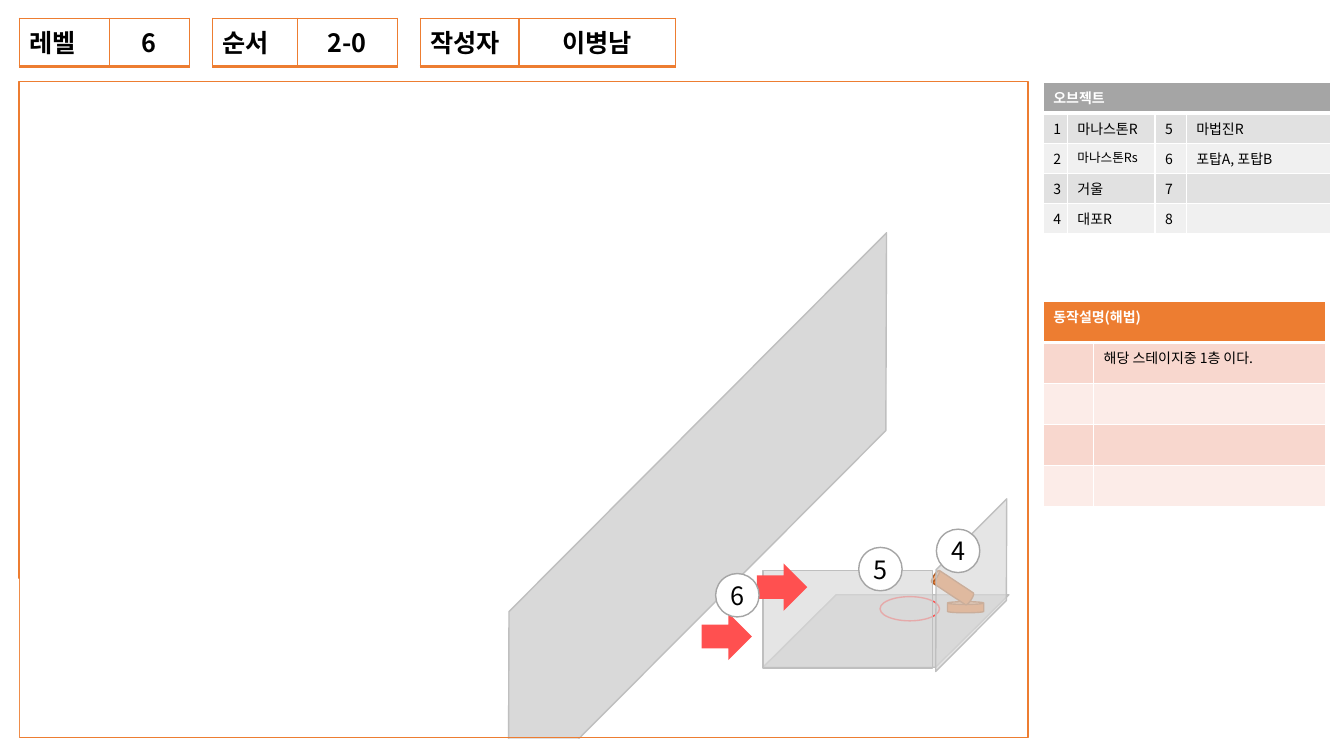
from dataclasses import dataclass
from typing import Optional

from lxml.etree import SubElement
from pptx import Presentation
from pptx.dml.color import RGBColor
from pptx.enum.shapes import MSO_SHAPE as SHAPE
from pptx.enum.text import MSO_ANCHOR as ANCHOR, PP_ALIGN as ALIGN
from pptx.oxml import parse_xml
from pptx.oxml.ns import nsdecls, qn
from pptx.util import Pt


@dataclass(frozen=True)
class Theme:
    font: str = "Noto Sans CJK KR"
    black: str = "000000"
    white: str = "FFFFFF"
    orange: str = "ED7D31"
    brown: str = "AF5C24"
    red: str = "FF5050"
    gray: str = "A5A5A5"
    edge: str = "BFBFBF"
    wall: str = "D9D9D9"
    gray_bands: tuple = ("E1E1E1", "F0F0F0")
    orange_bands: tuple = ("F8D7CE", "FCECE8")
    large: float = 18
    body: float = 10
    small: float = 9


T = Theme()


@dataclass(frozen=True)
class Item:
    kind: SHAPE
    box: tuple
    fill: Optional[str] = None
    line: Optional[str] = None
    rot: float = 0
    adj: Optional[float] = None
    alpha: Optional[int] = None


@dataclass(frozen=True)
class Label:
    left: float
    widths: tuple
    texts: tuple


@dataclass(frozen=True)
class Panel:
    top: float
    widths: tuple
    row_height: float
    title: str
    color: str
    bands: tuple
    rows: tuple


def rgb(value: str) -> RGBColor:
    return RGBColor.from_string(value)


def style_text(p, size: float, color: str, bold: bool = False) -> None:
    for r in p.runs:
        r.font.name, r.font.size, r.font.bold = T.font, Pt(size), bold
        r.font.color.rgb = rgb(color)
        SubElement(r.font._element, qn("a:ea"), typeface=T.font)
    if not p.runs:
        SubElement(p._p, qn("a:endParaRPr"), sz=str(int(size * 100)))


def draw(shapes, item: Item):
    sp = shapes.add_shape(item.kind, *map(Pt, item.box))
    sp.shadow.inherit = False
    sp.rotation = item.rot
    if item.adj is not None:
        sp.adjustments[0] = item.adj
    if item.fill:
        sp.fill.solid()
        sp.fill.fore_color.rgb = rgb(item.fill)
    else:
        sp.fill.background()
    if item.alpha:
        color = sp._element.spPr.find(qn("a:solidFill"))[0]
        SubElement(color, qn("a:alpha"), val=str(item.alpha * 1000))
    if item.line:
        sp.line.color.rgb = rgb(item.line)
        sp.line.width = Pt(1)
    else:
        sp.line.fill.background()
    return sp


def draw_badge(shapes, text: str, left: float, top: float) -> None:
    sp = draw(shapes, Item(SHAPE.OVAL, (left, top, 31, 31), T.white, T.gray))
    tf = sp.text_frame
    tf.margin_left = tf.margin_right = tf.margin_top = tf.margin_bottom = 0
    tf.vertical_anchor = ANCHOR.MIDDLE
    tf.text = text
    p = tf.paragraphs[0]
    p.alignment = ALIGN.CENTER
    style_text(p, T.large, T.black)


def set_borders(cell, color: str, bottom: float = 1) -> None:
    tc_pr = cell._tc.get_or_add_tcPr()
    for i, side in enumerate("LRTB"):
        width = Pt(bottom if side == "B" else 1)
        tc_pr.insert(i, parse_xml(
            f'<a:ln{side} {nsdecls("a")} w="{width}"><a:solidFill>'
            f'<a:srgbClr val="{color}"/></a:solidFill></a:ln{side}>'))


def new_table(shapes, left: float, top: float, widths: tuple, rows: int, row_height: float):
    frame = shapes.add_table(rows, len(widths), Pt(left), Pt(top),
                             Pt(sum(widths)), Pt(rows * row_height))
    table = frame.table
    table.first_row = table.horz_banding = False
    for column, width in zip(table.columns, widths):
        column.width = Pt(width)
    return table


def draw_label(shapes, label: Label) -> None:
    table = new_table(shapes, label.left, 13, label.widths, 1, 34.6)
    for i, text in enumerate(label.texts):
        cell = table.cell(0, i)
        cell.fill.background()
        set_borders(cell, T.orange, 2)
        cell.text_frame.text = text
        p = cell.text_frame.paragraphs[0]
        if i:
            p.alignment = ALIGN.CENTER
        style_text(p, T.large, T.black, True)


def draw_panel(shapes, panel: Panel) -> None:
    count = len(panel.widths)
    grid = [(panel.title,) + ("",) * (count - 1), *panel.rows]
    table = new_table(shapes, 745.2, panel.top, panel.widths, len(grid), panel.row_height)
    table.cell(0, 0).merge(table.cell(0, count - 1))
    for y, row in enumerate(grid):
        for x, text in enumerate(row):
            cell = table.cell(y, x)
            cell.fill.solid()
            cell.fill.fore_color.rgb = rgb(panel.bands[(y - 1) % 2] if y else panel.color)
            set_borders(cell, T.white, 1 if y else 3)
            cell.text_frame.text = text
            size = T.small if text == "마나스톤Rs" else T.body
            style_text(cell.text_frame.paragraphs[0], size, T.black if y else T.white, not y)


prs = Presentation()
prs.slide_width, prs.slide_height = Pt(960), Pt(540)
shapes = prs.slides.add_slide(prs.slide_layouts[6]).shapes

# Large wall and stage frame, with margins that trim them
for item in (
    Item(SHAPE.PARALLELOGRAM, (257, 322.5, 482.4, 99.4), T.wall, T.edge, 314.9, 1.01),
    Item(SHAPE.RECTANGLE, (13.7, 58.3, 720.7, 468.7), None, T.orange),
    Item(SHAPE.RECTANGLE, (0, 413.3, 13.7, 122.4), T.white),
    Item(SHAPE.RECTANGLE, (329.8, 527.8, 102.2, 12.2), T.white),
):
    draw(shapes, item)

# Header labels
for label in (
    Label(13.7, (64.4, 57.2), ("레벨", "6")),
    Label(151.9, (60.5, 71.3), ("순서", "2-0")),
    Label(300.2, (70.6, 111.6), ("작성자", "이병남")),
):
    draw_label(shapes, label)

# Room: floor, cannon, magic circle and translucent walls
room = shapes.add_group_shape().shapes
for item in (
    Item(SHAPE.PARALLELOGRAM, (545, 424.8, 175.7, 51.8), T.wall, T.edge, adj=1.01),
    Item(SHAPE.CAN, (676.8, 429.8, 25.9, 7.9), T.orange, T.brown),
    Item(SHAPE.CAN, (675.4, 403.9, 10.1, 31.7), T.orange, T.brown, 303.5),
    Item(SHAPE.OVAL, (628.6, 426.2, 42.5, 17.3), None, T.red),
    Item(SHAPE.RECTANGLE, (545, 407.5, 121, 69.8), T.wall, T.edge, alpha=66),
    Item(SHAPE.PARALLELOGRAM, (632.2, 392.4, 123.1, 51.1), T.wall, T.edge, 314.9, 1.01, 66),
):
    draw(room, item)

# Turret arrows and object numbers
for left, top in ((540.7, 402.5), (501.1, 437.8)):
    draw(shapes, Item(SHAPE.RIGHT_ARROW, (left, top, 36, 33.8), T.red))
for text, left, top in (("4", 668.9, 378), ("5", 613.4, 391), ("6", 511.2, 409.7)):
    draw_badge(shapes, text, left, top)

# Side panels
draw_panel(shapes, Panel(59, (16.6, 62.6, 22.3, 103), 18, "오브젝트", T.gray, T.gray_bands, (
    ("1", "마나스톤R", "5", "마법진R"),
    ("2", "마나스톤Rs", "6", "포탑A, 포탑B"),
    ("3", "거울", "7", ""),
    ("4", "대포R", "8", ""),
)))
draw_panel(shapes, Panel(215.3, (36, 165.6), 29.3, "동작설명(해법)", T.orange, T.orange_bands, (
    ("", "해당 스테이지중 1층 이다."),
    *[("", "")] * 3,
)))

prs.save("out.pptx")
